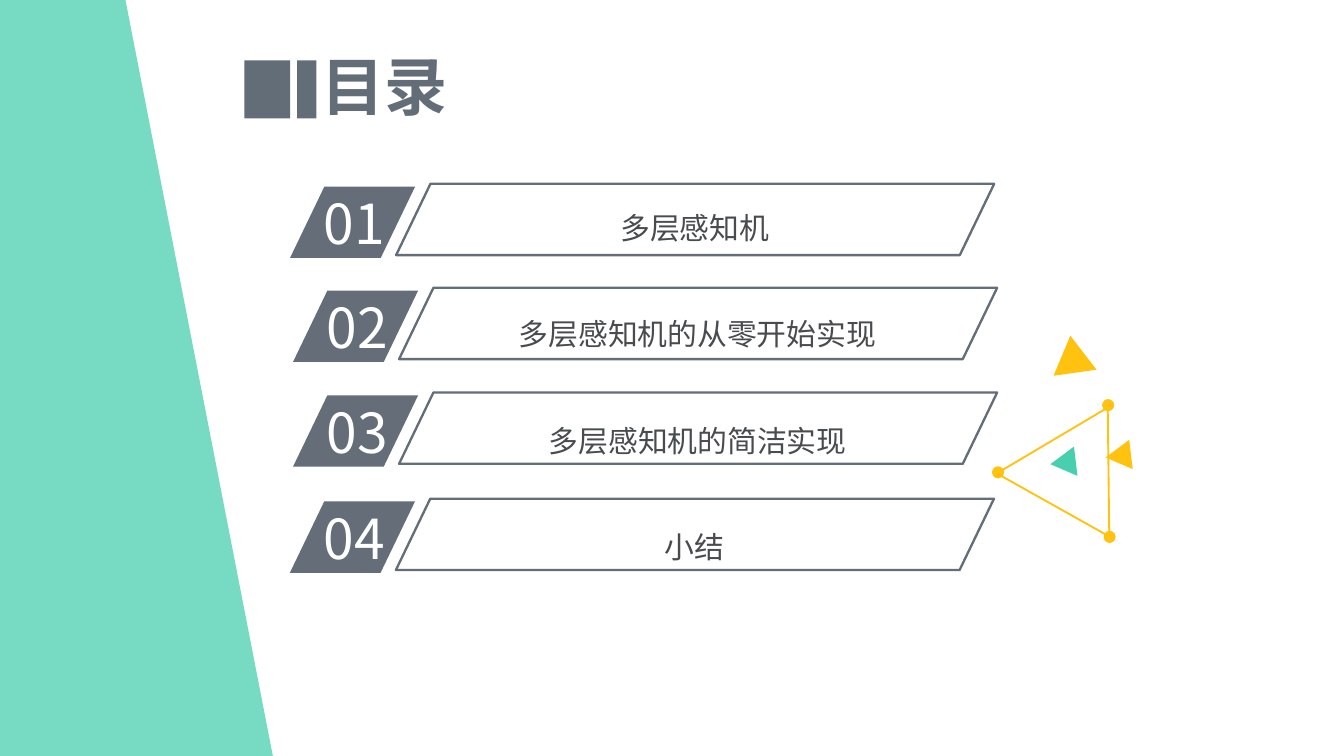
from pptx import Presentation
from pptx.dml.color import RGBColor
from pptx.enum.shapes import MSO_SHAPE as Geo
from pptx.enum.text import MSO_ANCHOR as Anchor, MSO_AUTO_SIZE as Fit, PP_ALIGN as Align
from pptx.oxml.ns import qn
from pptx.util import Pt
from lxml.etree import SubElement

GRAY = RGBColor(0x64, 0x6D, 0x78)
SLATE = RGBColor(0x63, 0x6D, 0x78)
INK = RGBColor(0x49, 0x4C, 0x4F)
WHITE = RGBColor(0xFF, 0xFF, 0xFF)
GOLD = RGBColor(0xFF, 0xC2, 0x0F)
MINT = RGBColor(0x48, 0xCF, 0xAE)
TEAL = RGBColor(0x49, 0xCF, 0xAE)
SANS = "Noto Sans CJK SC"
SERIF = "Times New Roman"

ROWS = [
    ("01", "多层感知机", 155.4, 98.5, 234.7, 1.5),
    ("02", "多层感知机的从零开始实现", 157, 154.2, 304.6, 2.7),
    ("03", "多层感知机的简洁实现", 157, 210.3, 234.7, 3.6),
    ("04", "小结", 155.3, 267.2, 234.7, 3.6),
]


def paint(shape, fill=None, line=None, width=1):
    shape.shadow.inherit = False
    if fill is None:
        shape.fill.background()
    else:
        shape.fill.solid()
        shape.fill.fore_color.rgb = fill
    if line is None:
        shape.line.fill.background()
    else:
        shape.line.color.rgb = line
        shape.line.width = Pt(width)
    return shape


def add_form(parts, geo, x, y, w, h, turn=0, **look):
    shape = parts.add_shape(geo, Pt(x), Pt(y), Pt(w), Pt(h))
    shape.rotation = turn
    return paint(shape, **look)


def add_text(parts, text, x, y, w, h, size, color, font=SANS, bold=False,
             align=Align.LEFT, anchor=Anchor.TOP, space=None, inset=None, fit=Fit.NONE):
    frame = parts.add_textbox(Pt(x), Pt(y), Pt(w), Pt(h)).text_frame
    frame.word_wrap = True
    frame.auto_size = fit
    frame.vertical_anchor = anchor
    if inset:
        frame.margin_left = frame.margin_right = Pt(inset[0])
        frame.margin_top = frame.margin_bottom = Pt(inset[1])
    para = frame.paragraphs[0]
    para.alignment = align
    para.line_spacing = space
    run = para.add_run()
    run.text = text
    run.font.name = font
    run.font.size = Pt(size)
    run.font.bold = bold
    run.font.color.rgb = color
    SubElement(run.font._element, qn("a:ea"), typeface=SANS)


def add_side(parts, x, y, w, h):
    pen = parts.build_freeform(Pt(x + w), Pt(y + h))
    top = x + w * 0.46
    pen.add_line_segments([(Pt(top), Pt(y)), (Pt(x), Pt(y)), (Pt(x), Pt(y + h))])
    side = paint(pen.convert_to_shape(), fill=TEAL)
    tint = side.fill._xPr.find(qn("a:solidFill"))[0]
    SubElement(tint, qn("a:alpha"), val="75000")


def add_title(parts, x, y, w, h):
    add_text(parts, "目录", x - 18.7, y - 7, w, 41, 33.8, SLATE, bold=True,
             align=Align.CENTER, anchor=Anchor.MIDDLE)
    for left, wide in ((0, 24.5), (28.2, 10.3)):
        add_form(parts, Geo.RECTANGLE, x + left, y, wide, h, fill=SLATE)


def add_row(parts, x, y, w, h, num, label, wide, drop):
    row = parts.add_group_shape().shapes
    tag = add_form(row, Geo.PARALLELOGRAM, x, y + 1.5, 67, h, fill=GRAY)
    add_text(row, num, x + 11, y - 0.6, 63.4, 43.2, 29.5, WHITE, fit=Fit.SHAPE_TO_FIT_TEXT)
    add_text(row, label, x + 216.8 - wide / 2, y + drop, wide, 30.6, 16, INK, font=SERIF,
             align=Align.CENTER, space=1.5, inset=(5.8, 2.9), fit=Fit.SHAPE_TO_FIT_TEXT)
    bar = add_form(row, Geo.PARALLELOGRAM, x + w - 320.4, y, 320.4, h, line=GRAY, width=1.25)
    for shape in (tag, bar):
        shape.adjustments[0] = 0.482


def add_decor(parts, x, y):
    art = parts.add_group_shape().shapes
    for left, top, w, h, turn, color in (
        (29.5, 0, 23, 20.2, 232.4, GOLD),
        (33.8, 57.6, 15.8, 13.7, 143.3, MINT),
        (63.4, 54, 15.8, 13.7, 143.3, GOLD),
    ):
        add_form(art, Geo.ISOSCELES_TRIANGLE, x + left, y + top, w, h, turn, fill=color)
    add_form(art, Geo.ISOSCELES_TRIANGLE, x + 13, y + 46.8, 69.1, 59.8, 149.3, line=GOLD)
    for left, top in ((59, 28.8), (59.8, 99.4), (0, 64.8)):
        add_form(art, Geo.OVAL, x + left, y + top, 6.5, 6.5, 86, fill=GOLD)


def main():
    deck = Presentation()
    deck.slide_width, deck.slide_height = Pt(720), Pt(405)
    parts = deck.slides.add_slide(deck.slide_layouts[6]).shapes
    add_decor(parts, 531.4, 185)
    add_title(parts, 131, 32.4, 187.2, 31)
    add_side(parts, 0, 0, 146.2, 405)
    for num, label, x, y, wide, drop in ROWS:
        add_row(parts, x, y, 377.2, 38.2, num, label, wide, drop)
    deck.save("out.pptx")


if __name__ == "__main__":
    main()
